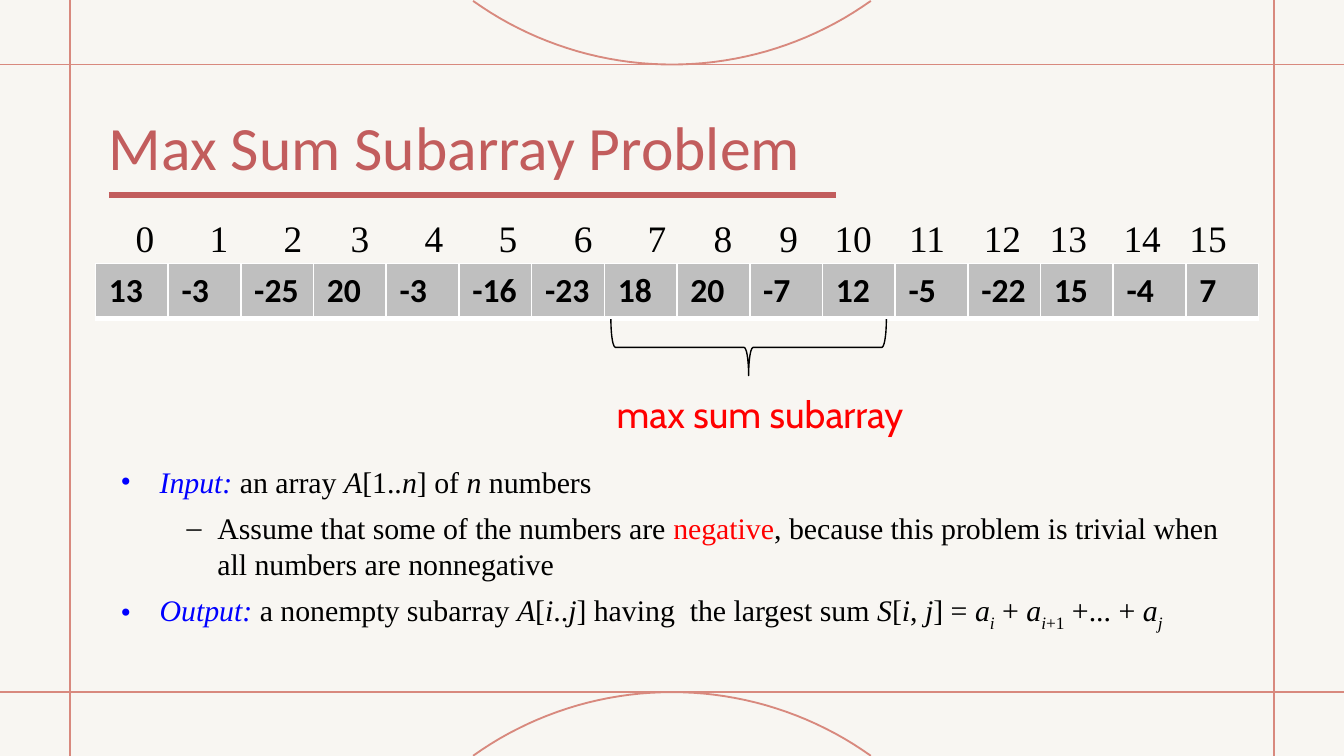
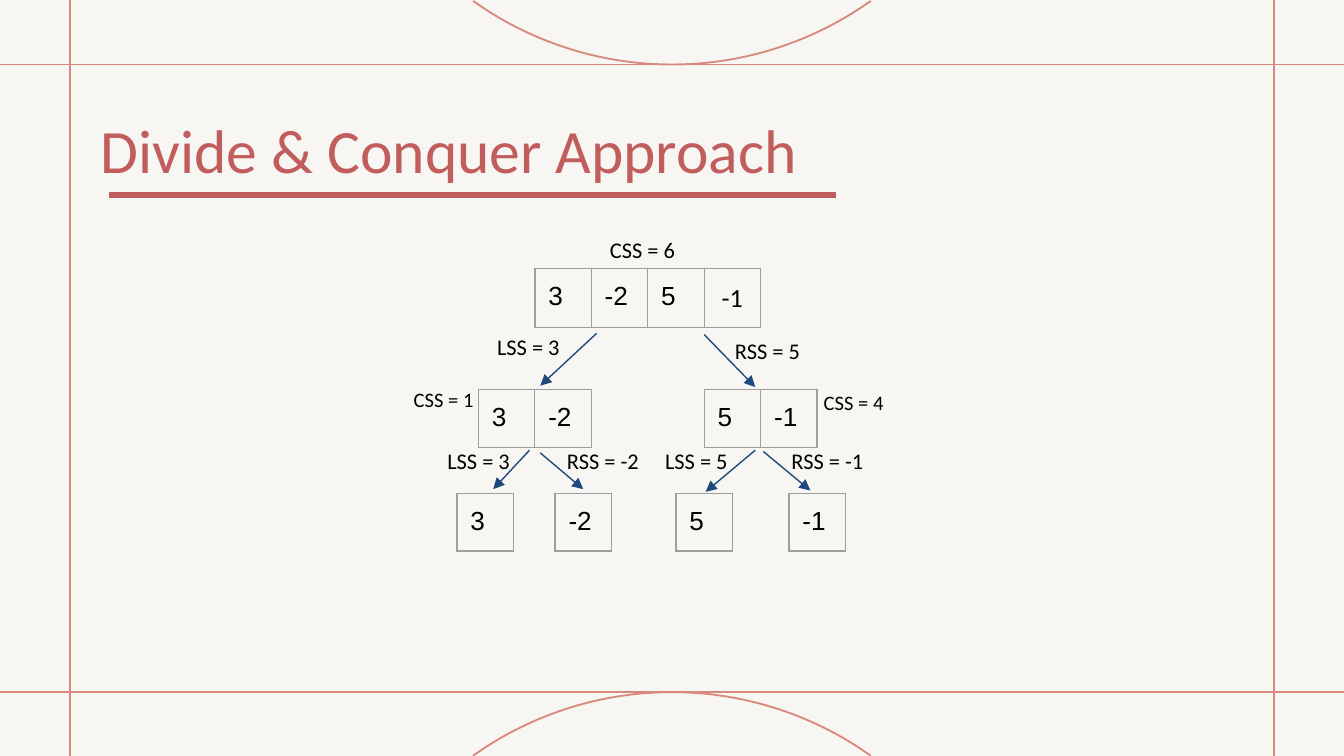
from dataclasses import dataclass
from math import asin, cos, sin

from lxml.etree import SubElement
from pptx import Presentation
from pptx.dml.color import RGBColor
from pptx.enum.shapes import MSO_CONNECTOR as Connector, MSO_SHAPE as Preset
from pptx.enum.text import MSO_ANCHOR as Anchor, MSO_AUTO_SIZE as AutoSize, PP_ALIGN as Align
from pptx.oxml.ns import qn
from pptx.util import Inches, Pt


@dataclass(frozen=True)
class Theme:
    paper: str = "F8F6F2"
    frame: str = "D8897E"
    accent: str = "C25D5D"
    ink: str = "000000"
    blue: str = "0000FF"
    red: str = "FF0000"
    arrow: str = "1F497D"
    gray: str = "BFBFBF"
    white: str = "FFFFFF"
    grid: str = "9E9E9E"
    sans: str = "Calibri"
    serif: str = "Times New Roman"
    cell: str = "Arial"
    callout: str = "Cabin"
    title_size: int = 33
    large_size: int = 20
    array_size: int = 18
    body_size: int = 16
    node_size: int = 14
    label_size: int = 12
    small_size: int = 11


@dataclass(frozen=True)
class Box:
    left: float
    top: float
    width: float
    height: float

    def inner(self, left, top, width, height):
        return Box(self.left + left, self.top + top, width, height)

    def lengths(self):
        return [Inches(v) for v in (self.left, self.top, self.width, self.height)]


THEME = Theme()
SLIDE = Box(0, 0, 10, 10 * 9 / 16)
EDGE_X, EDGE_Y = 0.52, 0.48
ARC_RADIUS, ARC_HALF_CHORD, ARC_STEPS = 2.55, 1.48, 40

ARRAY = [13, -3, -25, 20, -3, -16, -23, 18, 20, -7, 12, -5, -22, 15, -4, 7]
INDEX_STOPS = [0.24, 0.79, 1.34, 1.84, 2.39, 2.94, 3.5, 4.05,
               4.54, 5.03, 5.51, 6.06, 6.62, 7.11, 7.66, 8.15]

STATEMENT = [
    (0, [("Input: ", "blue italic"), ("an array ", ""), ("A", "italic"), ("[1..", ""),
         ("n", "italic"), ("] of ", ""), ("n", "italic"), (" numbers", "")]),
    (1, [("Assume that some of the numbers are ", ""), ("negative", "red"),
         (", because this problem is trivial when all numbers are nonnegative", "")]),
    (0, [("Output: ", "blue italic"), ("a nonempty subarray ", ""), ("A", "italic"),
         ("[", ""), ("i", "italic"), ("..", ""), ("j", "italic"),
         ("] having  the largest sum ", ""), ("S", "italic"), ("[", ""), ("i", "italic"),
         (", ", ""), ("j", "italic"), ("] = ", ""), ("a", "italic"), ("i", "italic sub"),
         (" + ", ""), ("a", "italic"), ("i", "italic sub"), ("+1", "sub"),
         (" +... + ", ""), ("a", "italic"), ("j", "italic sub")]),
]
BULLETS = [("•", THEME.blue, 0.38, -0.29), ("–", THEME.ink, 0.81, -0.23)]

TREE_NODES = [
    ([3, -2, 5, -1], 1.0, 0.34),
    ([3, -2], 0.58, 1.24), ([5, -1], 2.26, 1.24),
    ([3], 0.42, 2.01), ([-2], 1.15, 2.01), ([5], 2.05, 2.01), ([-1], 2.89, 2.01),
]
TREE_ARROWS = [
    (1.46, 0.82, 1.04, 1.21), (2.26, 0.83, 2.64, 1.22),
    (0.96, 1.69, 0.69, 1.98), (1.04, 1.71, 1.36, 1.98),
    (2.64, 1.69, 2.27, 2.0), (2.7, 1.7, 3.05, 1.99),
]
TREE_LABELS = [
    ("CSS = 6", 1.46, 0, THEME.label_size),
    ("LSS = 3", 0.62, 0.72, THEME.label_size), ("RSS = 5", 2.39, 0.75, THEME.label_size),
    ("CSS = 1", 0, 1.13, THEME.small_size), ("CSS = 4", 3.05, 1.15, THEME.small_size),
    ("LSS = 3", 0.25, 1.57, THEME.label_size), ("RSS = -2", 1.14, 1.57, THEME.label_size),
    ("LSS = 5", 1.87, 1.57, THEME.label_size), ("RSS = -1", 2.81, 1.57, THEME.label_size),
]


def rgb(color):
    return RGBColor.from_string(color)


def set_line(shape, color, width):
    shape.line.color.rgb = rgb(color)
    shape.line.width = Pt(width)


def add_span(para, text, size, font, color=THEME.ink, bold=False, italic=False):
    span = para.add_run()
    span.text = text
    span.font.size = Pt(size)
    span.font.name = font
    span.font.color.rgb = rgb(color)
    span.font.bold = bold
    span.font.italic = italic
    return span


def set_insets(frame, across, down):
    frame.margin_left = frame.margin_right = Inches(across)
    frame.margin_top = frame.margin_bottom = Inches(down)


def add_text_frame(page, box, inset=0.1):
    frame = page.shapes.add_textbox(*box.lengths()).text_frame
    frame.word_wrap = True
    set_insets(frame, 0.1, inset)
    return frame


def add_line(page, left, top, right, bottom, color, width, arrow=False):
    ends = [Inches(v) for v in (left, top, right, bottom)]
    line = page.shapes.add_connector(Connector.STRAIGHT, *ends)
    set_line(line, color, width)
    if arrow:
        SubElement(line.line._get_or_add_ln(), qn("a:tailEnd"), type="triangle")
    SubElement(line._element.spPr, qn("a:effectLst"))
    return line


def add_arc(page, tangent_y, direction):
    half_angle = asin(ARC_HALF_CHORD / ARC_RADIUS)
    angles = [half_angle * (2 * k / ARC_STEPS - 1) for k in range(ARC_STEPS + 1)]
    points = [(Inches(SLIDE.width / 2 + ARC_RADIUS * sin(a)),
               Inches(tangent_y + direction * ARC_RADIUS * (1 - cos(a)))) for a in angles]
    builder = page.shapes.build_freeform(*points[0], scale=1.0)
    builder.add_line_segments(points[1:], close=False)
    arc = builder.convert_to_shape()
    arc.fill.background()
    arc.shadow.inherit = False
    set_line(arc, THEME.frame, 1)
    return arc


def build_layout(layout, page):
    layout.background.fill.solid()
    layout.background.fill.fore_color.rgb = rgb(THEME.paper)
    low, right = 5.15, 9.48
    parts = [add_line(page, 0, y, SLIDE.width, y, THEME.frame, 1) for y in (low, EDGE_Y)]
    parts += [add_line(page, x, 0, x, SLIDE.height, THEME.frame, 1) for x in (right, EDGE_X)]
    parts += [add_arc(page, EDGE_Y, -1), add_arc(page, low, 1)]
    parts.append(add_line(page, 0.81, 1.45, 6.22, 1.45, THEME.accent, 3))
    for part in parts:
        layout.shapes._spTree.append(part._element)


def place_title(page, text, box):
    title = page.shapes.title
    title.left, title.top, title.width, title.height = box.lengths()
    frame = title.text_frame
    frame.auto_size = AutoSize.NONE
    frame.vertical_anchor = Anchor.TOP
    set_insets(frame, 0, 0)
    para = frame.paragraphs[0]
    para.alignment = Align.LEFT
    add_span(para, text, THEME.title_size, THEME.sans, THEME.accent)


def set_borders(cell, color, widths):
    properties = cell._tc.get_or_add_tcPr()
    for index, (side, width) in enumerate(zip("LRTB", widths)):
        border = SubElement(properties, qn(f"a:ln{side}"), w=str(Pt(width)))
        fill = SubElement(border, qn("a:solidFill"))
        SubElement(fill, qn("a:srgbClr"), val=color)
        properties.insert(index, border)


def add_number_row(page, box, values, size, font, inset, border, widths, fill=None, bold=False):
    table = page.shapes.add_table(1, len(values), *box.lengths()).table
    table.first_row = table.horz_banding = False
    table.rows[0].height = Inches(box.height)
    for column, value in enumerate(values):
        table.columns[column].width = Inches(box.width / len(values))
        cell = table.cell(0, column)
        set_insets(cell, 0.1, inset)
        if fill:
            cell.fill.solid()
            cell.fill.fore_color.rgb = rgb(fill)
        else:
            cell.fill.background()
        set_borders(cell, border, widths)
        add_span(cell.text_frame.paragraphs[0], str(value), size, font, bold=bold)
    return table


def add_index_row(page, box):
    para = add_text_frame(page, box, 0.05).paragraphs[0]
    tabs = SubElement(para._p.get_or_add_pPr(), qn("a:tabLst"))
    for index, stop in enumerate(INDEX_STOPS):
        SubElement(tabs, qn("a:tab"), pos=str(Inches(stop)), algn="ctr")
        add_span(para, f"\t{index}", THEME.large_size, THEME.serif)


def add_array(page, box):
    add_index_row(page, box.inner(0.03, 0, 8.61, 0.44))
    add_number_row(page, box.inner(0, 0.41, box.width, 0.41), ARRAY, THEME.array_size,
                   THEME.sans, 0.05, THEME.white, (1, 1, 1, 3), THEME.gray, True)
    brace = page.shapes.add_shape(Preset.RIGHT_BRACE,
                                  *box.inner(4.65, 0.01, 0.42, 2.05).lengths())
    brace.rotation = 90
    brace.adjustments[0] = 0.08
    brace.fill.background()
    brace.shadow.inherit = False
    set_line(brace, THEME.ink, 0.75)
    para = add_text_frame(page, box.inner(3.4, 1.26, 3.09, 0.54)).paragraphs[0]
    para.alignment = Align.CENTER
    add_span(para, "max sum subarray", THEME.large_size, THEME.callout, THEME.red)


def add_statement(page, box):
    frame = add_text_frame(page, box)
    for index, (level, spans) in enumerate(STATEMENT):
        para = frame.add_paragraph() if index else frame.paragraphs[0]
        para.level = level
        if index:
            para.space_before = Pt(5.6)
        mark, color, margin, indent = BULLETS[level]
        properties = para._p.get_or_add_pPr()
        properties.set("marL", str(Inches(margin)))
        properties.set("indent", str(Inches(indent)))
        bullet_color = SubElement(properties, qn("a:buClr"))
        SubElement(bullet_color, qn("a:srgbClr"), val=color)
        SubElement(properties, qn("a:buFont"), typeface=THEME.serif)
        SubElement(properties, qn("a:buChar"), char=mark)
        for text, style in spans:
            tint = THEME.blue if "blue" in style else THEME.red if "red" in style else THEME.ink
            span = add_span(para, text, THEME.body_size, THEME.serif, tint,
                            italic="italic" in style)
            if "sub" in style:
                span._r.get_or_add_rPr().set("baseline", "-25000")


def add_tree(page, box):
    side, row_height = 0.42, 0.43
    tables = [add_number_row(page, box.inner(left, top, side * len(values), row_height), values,
                             THEME.node_size, THEME.cell, 0.1, THEME.grid, [0.75] * 4)
              for values, left, top in TREE_NODES]
    last_para = tables[0].cell(0, 3).text_frame.paragraphs[0]
    last_para.alignment = Align.CENTER
    last_para.runs[0].font.name = THEME.sans
    for x1, y1, x2, y2 in TREE_ARROWS:
        add_line(page, box.left + x1, box.top + y1, box.left + x2, box.top + y2,
                 THEME.arrow, 0.75, arrow=True)
    for text, left, top, size in TREE_LABELS:
        frame = add_text_frame(page, box.inner(left, top, 0.75, 0.4))
        add_span(frame.paragraphs[0], text, size, THEME.sans)


def build_problem_page(page):
    place_title(page, "Max Sum Subarray Problem", Box(0.81, 0.81, 5.41, 0.56))
    add_array(page, Box(0.71, 1.55, 8.66, 1.8))
    add_statement(page, Box(0.71, 3.35, 8.66, 1.44))


def build_approach_page(page):
    place_title(page, "Divide & Conquer Approach", Box(0.75, 0.83, 5.46, 0.56))
    add_tree(page, Box(2.98, 1.66, 3.72, 2.45))


def main():
    deck = Presentation()
    deck.slide_width, deck.slide_height = Inches(SLIDE.width), Inches(SLIDE.height)
    layout = deck.slide_layouts[5]
    pages = [deck.slides.add_slide(layout) for _ in range(2)]
    build_layout(layout, pages[0])
    build_problem_page(pages[0])
    build_approach_page(pages[1])
    deck.save("out.pptx")


if __name__ == "__main__":
    main()
